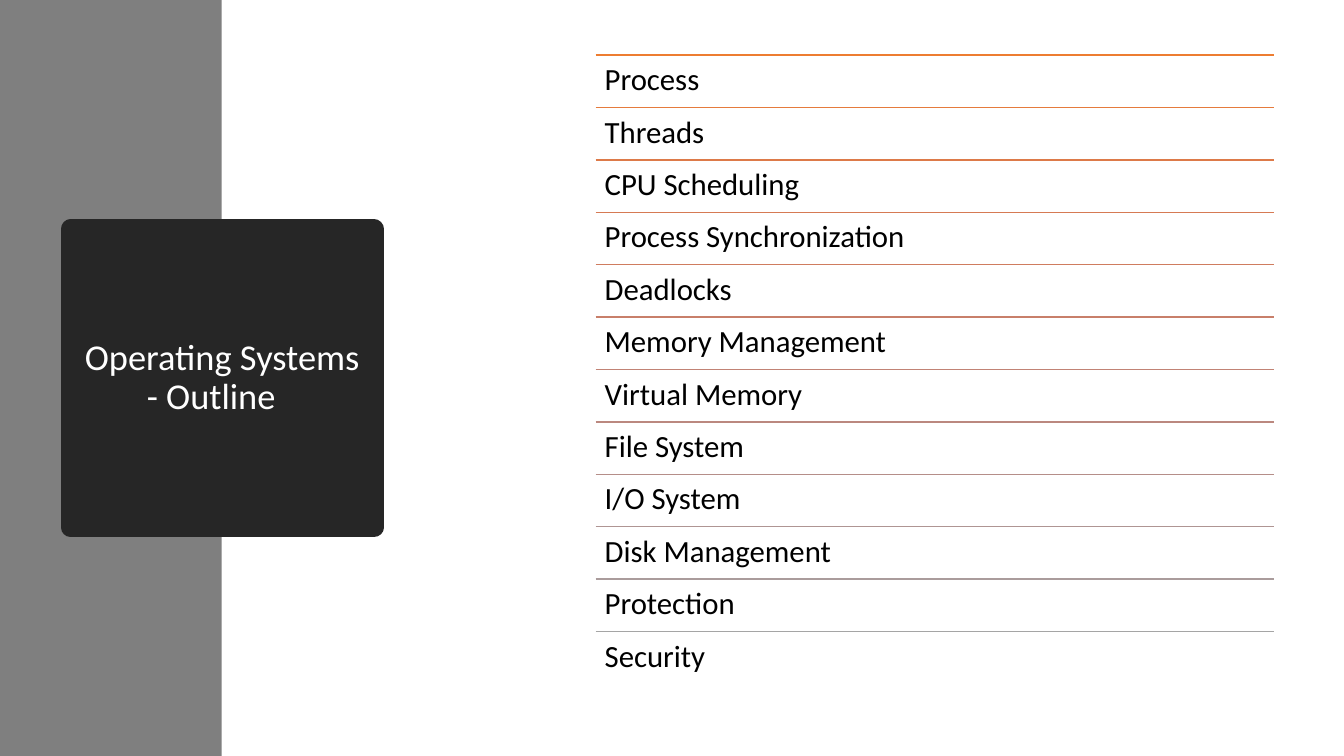
import pptx
import pptx.util
import pptx.dml.color
import pptx.enum.shapes
import pptx.enum.text
import pptx.oxml.ns
import lxml.etree

Cm = pptx.util.Cm
Pt = pptx.util.Pt
COLORS = {"band": "7F7F7F", "card": "262626", "light": "FFFFFF", "text": "000000"}
TOPICS = {
    "Process": "ED7D31",
    "Threads": "E57B3D",
    "CPU Scheduling": "DD7A49",
    "Process Synchronization": "D67A54",
    "Deadlocks": "CF7C5F",
    "Memory Management": "C87F6A",
    "Virtual Memory": "C18375",
    "File System": "BB887F",
    "I/O System": "B58E89",
    "Disk Management": "AF9593",
    "Protection": "AA9C9C",
    "Security": "A5A5A5",
}
LEFT, TOP, WIDTH, STEP = 15.01, 1.39, 17.09, 1.32


def rgb(code):
    return pptx.dml.color.RGBColor.from_string(code)


class Painter:
    font = "Calibri"

    def __init__(self, slide):
        self.slide = slide

    def rect(self, x, y, w, h, color, edge=0):
        kind = pptx.enum.shapes.MSO_SHAPE.RECTANGLE
        shape = self.slide.shapes.add_shape(kind, Cm(x), Cm(y), Cm(w), Cm(h))
        shape.shadow.inherit = False
        shape.fill.solid()
        shape.fill.fore_color.rgb = rgb(color)
        if edge:
            shape.line.color.rgb = rgb(color)
            shape.line.width = Pt(edge)
            line = shape._element.spPr.find(pptx.oxml.ns.qn("a:ln"))
            lxml.etree.SubElement(line, pptx.oxml.ns.qn("a:round"))
        else:
            shape.line.fill.background()
        return shape

    def words(self, shape, text, size, color, align, anchor):
        frame = shape.text_frame
        frame.word_wrap = True
        frame.vertical_anchor = anchor
        frame.text = text
        para = frame.paragraphs[0]
        para.alignment = align
        para.line_spacing = 0.9
        for run in para.runs:
            run.font.name = self.font
            run.font.size = Pt(size)
            run.font.color.rgb = rgb(color)

    def label(self, x, y, w, h, text):
        box = self.slide.shapes.add_textbox(Cm(x), Cm(y), Cm(w), Cm(h))
        frame = box.text_frame
        frame.margin_left = frame.margin_right = Cm(0.23)
        frame.margin_top = frame.margin_bottom = Cm(0.23)
        self.words(box, text, 22, COLORS["text"],
                   pptx.enum.text.PP_ALIGN.LEFT, pptx.enum.text.MSO_ANCHOR.TOP)

    def rule(self, x, y, w, color):
        kind = pptx.enum.shapes.MSO_CONNECTOR.STRAIGHT
        line = self.slide.shapes.add_connector(kind, Cm(x), Cm(y), Cm(x + w), Cm(y))
        line.line.color.rgb = rgb(color)
        line.line.width = Pt(1)
        lxml.etree.SubElement(line._element.spPr, pptx.oxml.ns.qn("a:effectLst"))


def main():
    deck = pptx.Presentation()
    deck.slide_width, deck.slide_height = Cm(33.87), Cm(19.05)
    paint = Painter(deck.slides.add_slide(deck.slide_layouts[6]))

    paint.rect(0, 0, 5.59, 19.05, COLORS["band"])
    card = paint.rect(1.78, 5.77, 7.65, 7.52, COLORS["card"], 13.75)
    paint.words(card, "Operating Systems - Outline\t", 26, COLORS["light"],
                pptx.enum.text.PP_ALIGN.CENTER, pptx.enum.text.MSO_ANCHOR.MIDDLE)

    for row, (topic, color) in enumerate(TOPICS.items()):
        y = TOP + row * STEP
        paint.rule(LEFT, y, WIDTH, color)
        paint.label(LEFT, y, WIDTH, STEP, topic)

    deck.save("out.pptx")


if __name__ == "__main__":
    main()
